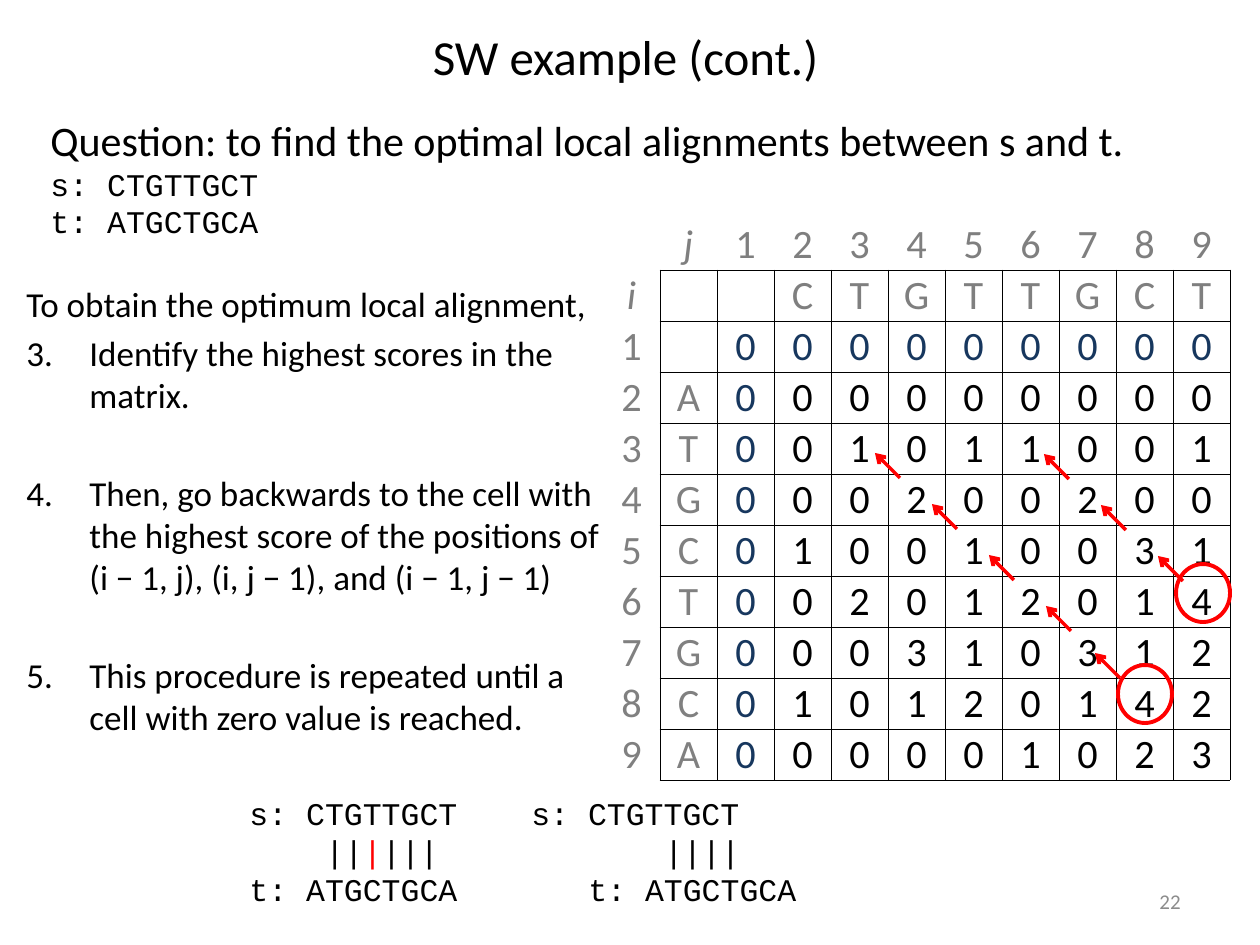
from pptx import Presentation, util as u
from pptx.dml.color import RGBColor
from pptx.enum import shapes, text
from pptx.oxml.ns import qn
from lxml import etree

PX = u.Inches(1) / 126
COLORS = {
    "black": "000000",
    "header": "7F7F7F",
    "label": "808080",
    "zero": "17375E",
    "mark": "FF0000",
    "page": "8C8C8C",
}
SANS, MONO = "Calibri", "Courier New"
MONO_CHAR = 19  # width of one 18 pt monospaced letter
ALIGN, ANCHOR = text.PP_ALIGN, text.MSO_ANCHOR

MATRIX = [
    " j123456789",
    "i  CTGTTGCT",
    "1 000000000",
    "2A000000000",
    "3T001011001",
    "4G000200200",
    "5C010010031",
    "6T002012014",
    "7G000310312",
    "8C010120142",
    "9A000001023",
]
TABLE_LEFT, TABLE_TOP, COLUMN_WIDTH, ROW_HEIGHT = 603, 219, 57, 51


def emu(px):
    return u.Emu(round(px * PX))


def rgb(name):
    return RGBColor.from_string(COLORS[name])


def write(paragraph, content, size=20, font=SANS, color="black", italic=False,
          align=ALIGN.LEFT, before=0, indent=0, hanging=0, start=None):
    """Append one run to a paragraph and set the paragraph's layout."""
    properties = paragraph._p.get_or_add_pPr()
    if indent:
        properties.set("marL", str(emu(indent)))
        properties.set("indent", str(emu(-hanging)))
    if start:
        etree.SubElement(properties, qn("a:buFont"), typeface="+mj-lt")
        etree.SubElement(properties, qn("a:buAutoNum"), type="arabicPeriod", startAt=str(start))
    paragraph.alignment = align
    if before:
        paragraph.space_before = u.Pt(before)
    run = paragraph.add_run()
    run.text = content
    run.font.size, run.font.name, run.font.italic = u.Pt(size), font, italic
    run.font.color.rgb = rgb(color)


def add_text(slide, box, paragraphs, wrap=True, anchor=ANCHOR.TOP):
    """Add a text box; each paragraph is a list of (content, format) runs."""
    frame = slide.shapes.add_textbox(*map(emu, box)).text_frame
    frame.word_wrap, frame.vertical_anchor = wrap, anchor
    for index, runs in enumerate(paragraphs):
        paragraph = frame.add_paragraph() if index else frame.paragraphs[0]
        for content, style in runs:
            write(paragraph, content, **style)


def set_borders(cell, sides):
    properties = cell._tc.get_or_add_tcPr()
    for position, side in enumerate("LRTB"):
        line = etree.Element(qn(f"a:ln{side}"), w=str(u.Pt(0.5)))
        if side in sides:
            fill = etree.SubElement(line, qn("a:solidFill"))
            etree.SubElement(fill, qn("a:srgbClr"), val=COLORS["black"])
        else:
            etree.SubElement(line, qn("a:noFill"))
        properties.insert(position, line)


def cell_color(row, column):
    if row < 2:
        return "header"
    if column < 2:
        return "label"
    return "zero" if row == 2 or column == 2 else "black"


def cell_borders(row, column):
    if row and column:
        return "LRTB"
    if row:
        return "R"
    return "B" if column else ""


def add_matrix(slide):
    count = len(MATRIX)
    table = slide.shapes.add_table(
        count, count, emu(TABLE_LEFT), emu(TABLE_TOP),
        emu(COLUMN_WIDTH * count), emu(ROW_HEIGHT * count)).table
    table.first_row = table.horz_banding = False
    for column in table.columns:
        column.width = emu(COLUMN_WIDTH)
    for row, letters in enumerate(MATRIX):
        table.rows[row].height = emu(ROW_HEIGHT)
        for column, letter in enumerate(letters):
            cell = table.cell(row, column)
            cell.fill.background()
            cell.vertical_anchor = ANCHOR.MIDDLE
            cell.margin_left = cell.margin_right = cell.margin_top = emu(1)
            cell.margin_bottom = 0
            set_borders(cell, cell_borders(row, column))
            if letter != " ":
                write(cell.text_frame.paragraphs[0], letter, size=23,
                      color=cell_color(row, column), italic=letter in "ij",
                      align=ALIGN.CENTER)


def add_circle(slide, left, top):
    circle = slide.shapes.add_shape(
        shapes.MSO_SHAPE.OVAL, emu(left), emu(top), emu(54), emu(58))
    circle.shadow.inherit = False
    circle.fill.background()
    circle.line.color.rgb = rgb("mark")
    circle.line.width = u.Pt(2.25)


def add_traceback_arrow(slide, x, y):
    """Draw an arrow from (x, y) towards the upper left cell."""
    arrow = slide.shapes.add_connector(
        shapes.MSO_CONNECTOR.STRAIGHT, emu(x), emu(y), emu(x - 25), emu(y - 25))
    arrow.line.color.rgb = rgb("mark")
    arrow.line.width = u.Pt(2)
    etree.SubElement(arrow.line._get_or_add_ln(), qn("a:tailEnd"), type="arrow")
    etree.SubElement(arrow._element.spPr, qn("a:effectLst"))


def add_steps(slide):
    steps = [
        "Identify the highest scores in the matrix.",
        "Then, go backwards to the cell with the highest score of the positions of "
        "(i − 1, j), (i, j − 1), and (i − 1, j − 1)",
        "This procedure is repeated until a cell with zero value is reached.",
    ]
    paragraphs = [[("To obtain the optimum local alignment,", {})]]
    for index, step in enumerate(steps):
        paragraphs.append([(step, dict(
            before=32 if index else 4, indent=63, hanging=63, start=3))])
    add_text(slide, (14, 276, 598, 583), paragraphs)


def add_alignments(slide):
    mono = dict(size=18, font=MONO)
    first_bars = dict(mono, indent=4 * MONO_CHAR)
    second_bars = dict(mono, indent=7 * MONO_CHAR)
    s_line, t_line = "s: CTGTTGCT", "t: ATGCTGCA"
    add_text(slide, (38, 108, 1115, 140), [
        [("Question: to find the optimal local alignments between s and t.", dict(size=24))],
        [(s_line, mono)],
        [(t_line, mono)],
    ])
    add_text(slide, (237, 788, 236, 127), [
        [(s_line, mono)],
        [("||", first_bars), ("|", dict(first_bars, color="mark")), ("|||", first_bars)],
        [(t_line, mono)],
    ], wrap=False)
    add_text(slide, (519, 788, 292, 127), [
        [(s_line, mono)],
        [("||||", second_bars)],
        [(t_line, dict(mono, indent=3 * MONO_CHAR))],
    ], wrap=False)


def main():
    presentation = Presentation()
    presentation.slide_width, presentation.slide_height = u.Inches(10), u.Inches(7.5)
    slide = presentation.slides.add_slide(presentation.slide_layouts[6])
    add_text(slide, (900, 876, 293, 50),
             [[("22", dict(size=12, color="page", align=ALIGN.RIGHT))]], anchor=ANCHOR.MIDDLE)
    add_text(slide, (90, 10, 1071, 92),
             [[("SW example (cont.)", dict(size=28, align=ALIGN.CENTER))]], anchor=ANCHOR.MIDDLE)
    add_steps(slide)
    add_matrix(slide)
    add_alignments(slide)
    for left, top in ((1118, 665), (1176, 564)):
        add_circle(slide, left, top)
    for x, y, count in ((900, 478, 4), (1069, 479, 3), (1120, 678, 1)):
        for step in range(count):
            add_traceback_arrow(slide, x + step * COLUMN_WIDTH, y + step * ROW_HEIGHT)
    presentation.save("out.pptx")


if __name__ == "__main__":
    main()
